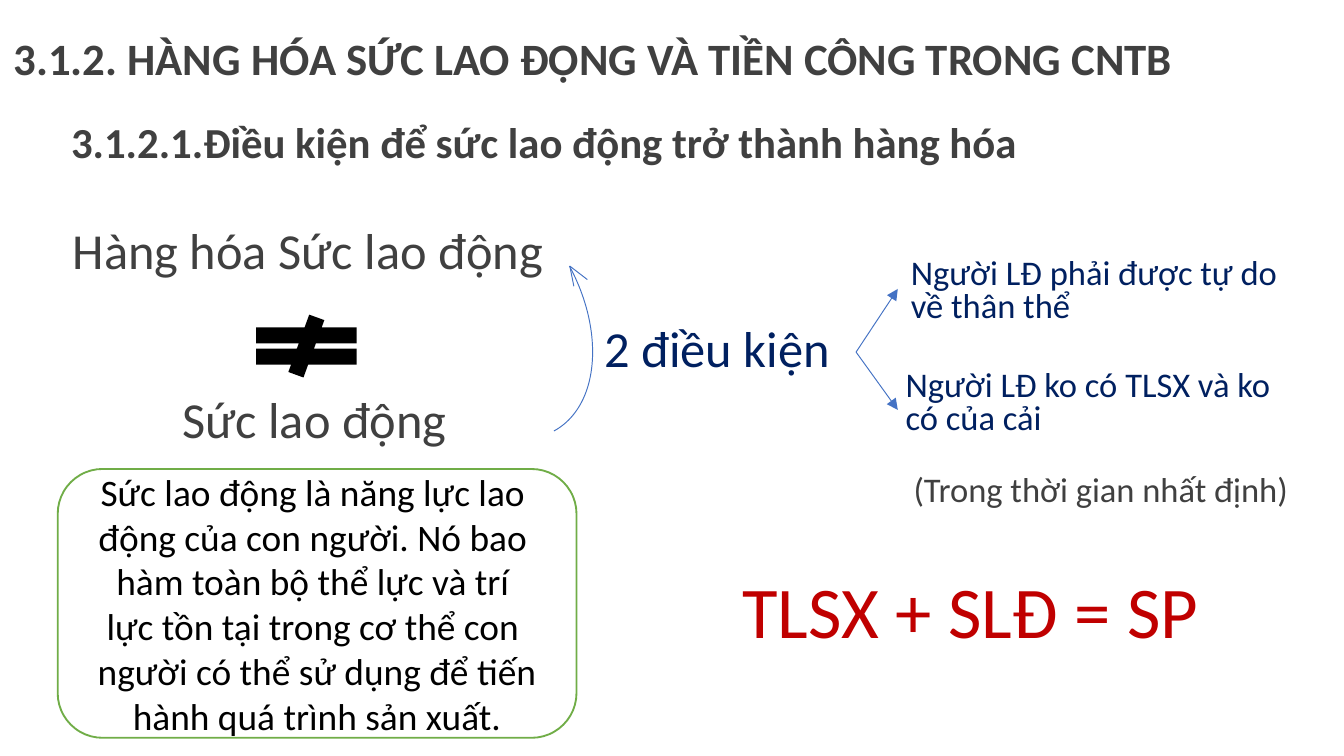
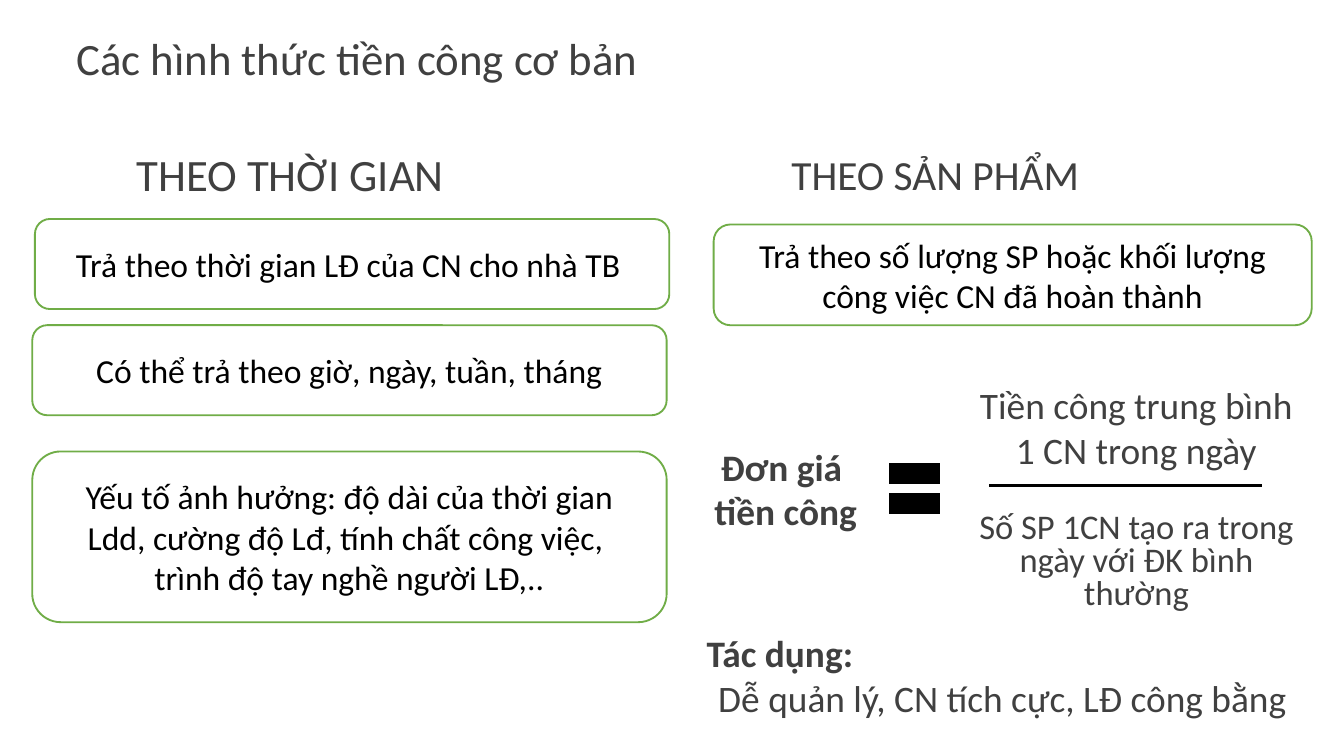
import pptx
import pptx.dml.color
import pptx.enum.shapes
import pptx.enum.text
import pptx.oxml.ns
import pptx.util
from lxml import etree

Inches = pptx.util.Inches
SHAPE = pptx.enum.shapes.MSO_SHAPE
ALIGN = pptx.enum.text.PP_ALIGN
qn = pptx.oxml.ns.qn

# Shared style
FONT = "Calibri"
GREY, NAVY, RED = "404040", "002060", "C00000"
BLACK, WHITE, GREEN, BLUE = "000000", "FFFFFF", "70AD47", "4472C4"
LABEL_H = 0.63
FRACTION_H = 0.87


def color(value):
    return pptx.dml.color.RGBColor.from_string(value)


def write(sp, text, size, c=GREY, bold=False, align=ALIGN.CENTER,
          spacing=1.0, before=0):
    """Fill a shape with text, one paragraph a line, centred vertically."""
    tf = sp.text_frame
    tf.text = text
    tf.word_wrap = True
    tf.auto_size = pptx.enum.text.MSO_AUTO_SIZE.NONE
    tf.vertical_anchor = pptx.enum.text.MSO_ANCHOR.MIDDLE
    for p in tf.paragraphs:
        p.alignment = align
        p.line_spacing = spacing
        p.space_before = pptx.util.Pt(before)
        for r in p.runs:
            r.font.name = FONT
            r.font.size = pptx.util.Pt(size)
            r.font.bold = bold
            r.font.color.rgb = color(c)
    return tf


def add_title_slide(prs, title, width, **style):
    """Add a slide whose title sits in the shared band at the top."""
    slide = prs.slides.add_slide(prs.slide_layouts[5])
    sp = slide.shapes.title
    sp.left, sp.top = Inches(0), Inches(0.14)
    sp.width, sp.height = Inches(width), Inches(LABEL_H)
    write(sp, title, 24, spacing=0.9, before=7.5, **style)
    return slide


def add_text(slide, x, y, w, h, text, size, **style):
    sp = slide.shapes.add_textbox(Inches(x), Inches(y), Inches(w), Inches(h))
    return write(sp, text, size, **style)


def add_label(slide, x, y, w, text, size, spacing=0.9, **style):
    add_text(slide, x, y, w, LABEL_H, text, size,
             spacing=spacing, before=7.5, **style)


def format_line(sp, c, width):
    """Set a solid line with sharp corners and return its XML element."""
    sp.line.color.rgb = color(c)
    sp.line.width = pptx.util.Pt(width)
    ln = sp.element.spPr.find(qn("a:ln"))
    etree.SubElement(ln, qn("a:miter"), lim="800000")
    return ln


def add_shape(shapes, kind, x, y, w, h, fill, line, width=1):
    sp = shapes.add_shape(kind, Inches(x), Inches(y), Inches(w), Inches(h))
    sp.shadow.inherit = False
    if fill:
        sp.fill.solid()
        sp.fill.fore_color.rgb = color(fill)
    else:
        sp.fill.background()
    format_line(sp, line, width)
    return sp


def add_box(slide, x, y, w, h, text, size=18,
            kind=SHAPE.FLOWCHART_ALTERNATE_PROCESS):
    sp = add_shape(slide.shapes, kind, x, y, w, h, WHITE, GREEN)
    write(sp, text, size, c=BLACK)


def add_line(shapes, start, end, c, width, arrow=False):
    cn = shapes.add_connector(pptx.enum.shapes.MSO_CONNECTOR.STRAIGHT,
                              *map(Inches, start + end))
    ln = format_line(cn, c, width)
    if arrow:
        etree.SubElement(ln, qn("a:tailEnd"), type="triangle")
    etree.SubElement(cn.element.spPr, qn("a:effectLst"))


def add_curved_arrow(slide):
    """Arc with an open head, from the conditions back to the commodity."""
    shapes = slide.shapes.add_group_shape().shapes
    arc = add_shape(shapes, SHAPE.ARC, 2.95, 1.28, 1.37, 2.05, None, BLUE, 0.5)
    arc.rotation = 151.6
    arc.element.spPr.find(qn("a:xfrm")).set("flipH", "1")
    for barb in ((4.27, 2.13), (4.37, 2.08)):
        add_line(shapes, barb, (4.24, 1.98), BLUE, 0.5)


def build_conditions(prs):
    slide = add_title_slide(
        prs, "3.1.2. HÀNG HÓA SỨC LAO ĐỘNG VÀ TIỀN CÔNG TRONG CNTB", 10,
        bold=True, align=ALIGN.LEFT)
    add_label(slide, 0.43, 0.77, 7.48,
              "3.1.2.1.Điều kiện để sức lao động trở thành hàng hóa", 22.9,
              spacing=0.8, bold=True, align=ALIGN.LEFT)

    # Commodity versus labour power
    add_shape(slide.shapes, SHAPE.MATH_NOT_EQUAL, 1.78, 2.35, 1, 0.45,
              BLACK, BLACK)
    add_label(slide, 0.28, 1.57, 4.02, "Hàng hóa Sức lao động", 27)
    add_label(slide, 0.33, 2.83, 4.02, "Sức lao động", 27)
    add_box(slide, 0.43, 3.49, 3.86, 2,
            "Sức lao động là năng lực lao \n"
            "động của con người. Nó bao \n"
            "hàm toàn bộ thể lực và trí \n"
            "lực tồn tại trong cơ thể con \n"
            "người có thể sử dụng để tiến hành quá trình sản xuất.",
            20, SHAPE.ROUNDED_RECTANGLE)

    # The two conditions
    add_curved_arrow(slide)
    add_label(slide, 4.4, 2.3, 2.18, "2 điều kiện", 27, c=NAVY,
              align=ALIGN.LEFT)
    conditions = [
        (6.68, 1.86, 2.15, "Người LĐ phải được tự do về thân thể"),
        (6.64, 2.69, 3.05, "Người LĐ ko có TLSX và ko có của cải"),
    ]
    for x, y, arrow_y, text in conditions:
        add_line(slide.shapes, (6.37, 2.62), (6.68, arrow_y), BLUE, 0.5,
                 arrow=True)
        add_label(slide, x, y, 3.14, text, 18.5, spacing=0.8, c=NAVY,
                  align=ALIGN.LEFT)
    add_label(slide, 4.88, 4.26, 4.68, "TLSX + SLĐ = SP", 39, c=RED)
    add_label(slide, 6.62, 3.34, 3.14, "(Trong thời gian nhất định)", 18.5)


def build_wage_forms(prs):
    slide = add_title_slide(prs, "Các hình thức tiền công cơ bản", 5.31,
                            align=ALIGN.CENTER)

    # Wage by time
    add_label(slide, 0.91, 1, 2.5, "THEO THỜI GIAN", 24)
    time_boxes = [
        (0.26, 1.63, 0.67, "Trả theo thời gian LĐ của CN cho nhà TB "),
        (0.24, 2.42, 0.67, "Có thể trả theo giờ, ngày, tuần, tháng"),
        (0.24, 3.36, 1.27,
         "Yếu tố ảnh hưởng: độ dài của thời gian Ldd, cường độ Lđ, "
         "tính chất công việc, \ntrình độ tay nghề người LĐ,.."),
    ]
    for x, y, h, text in time_boxes:
        add_box(slide, x, y, 4.72, h, text)

    # Wage by product
    add_label(slide, 5.71, 1, 2.5, "THEO SẢN PHẨM", 22.2)
    add_box(slide, 5.31, 1.67, 4.45, 0.75,
            "Trả theo số lượng SP hoặc khối lượng công việc CN đã hoàn thành")

    # Unit wage formula
    add_text(slide, 5.06, 3.2, 1.51, FRACTION_H, "Đơn giá\n tiền công", 20,
             bold=True)
    add_line(slide.shapes, (7.36, 3.61), (9.39, 3.61), BLACK, 1.5)
    add_shape(slide.shapes, SHAPE.MATH_EQUAL, 6.56, 3.32, 0.49, 0.63,
              BLACK, BLACK)
    add_text(slide, 7.15, 2.74, 2.61, FRACTION_H,
             "Tiền công trung bình 1 CN trong ngày", 20)
    add_text(slide, 7.15, 3.75, 2.61, FRACTION_H,
             "Số SP 1CN tạo ra trong ngày với ĐK bình thường", 18.5,
             spacing=0.8)

    # Effect
    tf = add_text(slide, 5.16, 4.59, 4.6, FRACTION_H,
                  "Tác dụng:\nDễ quản lý, CN tích cực, LĐ công bằng", 20)
    heading = tf.paragraphs[0]
    heading.alignment = ALIGN.LEFT
    heading.runs[0].font.bold = True


def main():
    prs = pptx.Presentation()
    # Widescreen, 16:9
    prs.slide_width = Inches(10)
    prs.slide_height = Inches(10 * 9 / 16)
    build_conditions(prs)
    build_wage_forms(prs)
    prs.save("out.pptx")


if __name__ == "__main__":
    main()
